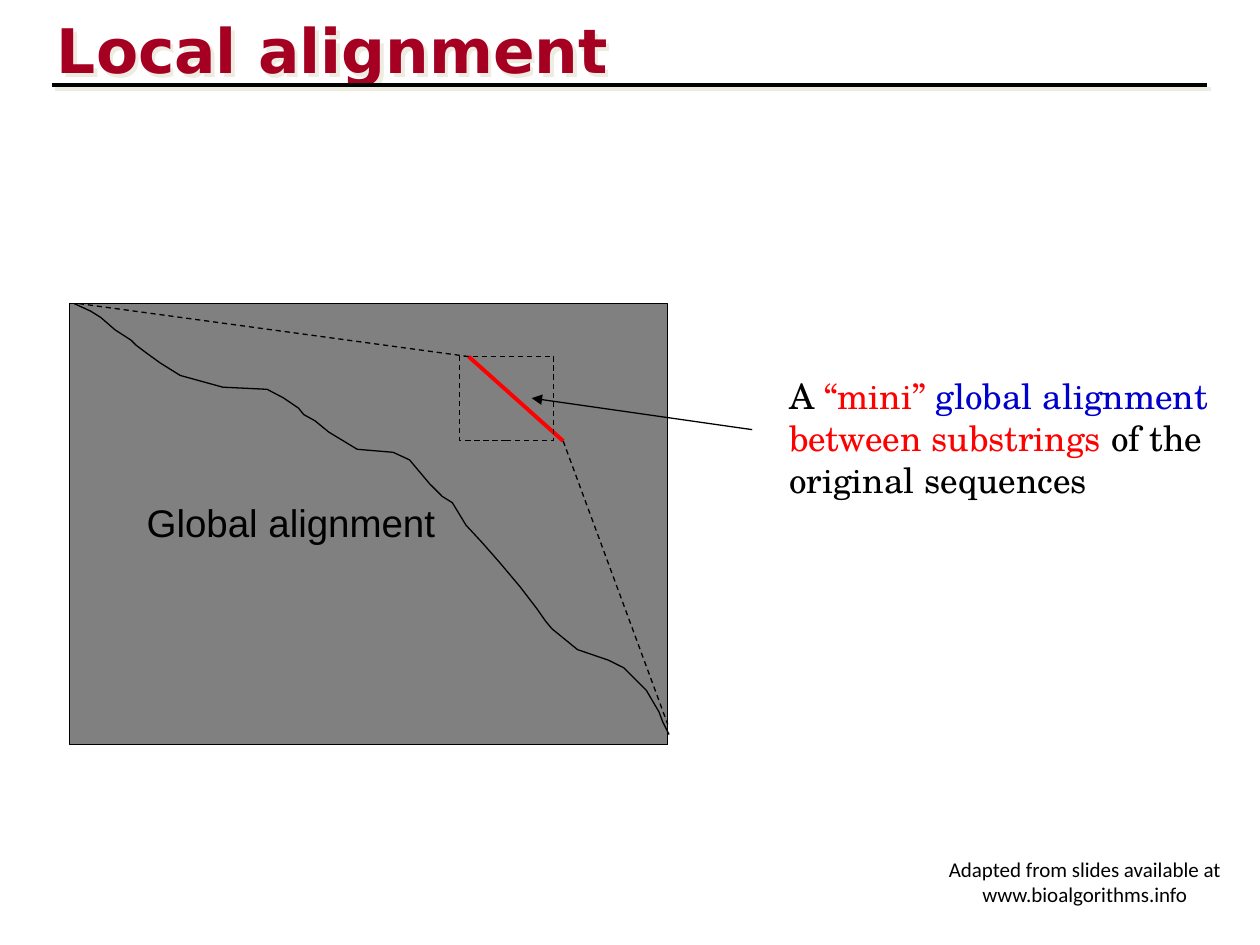
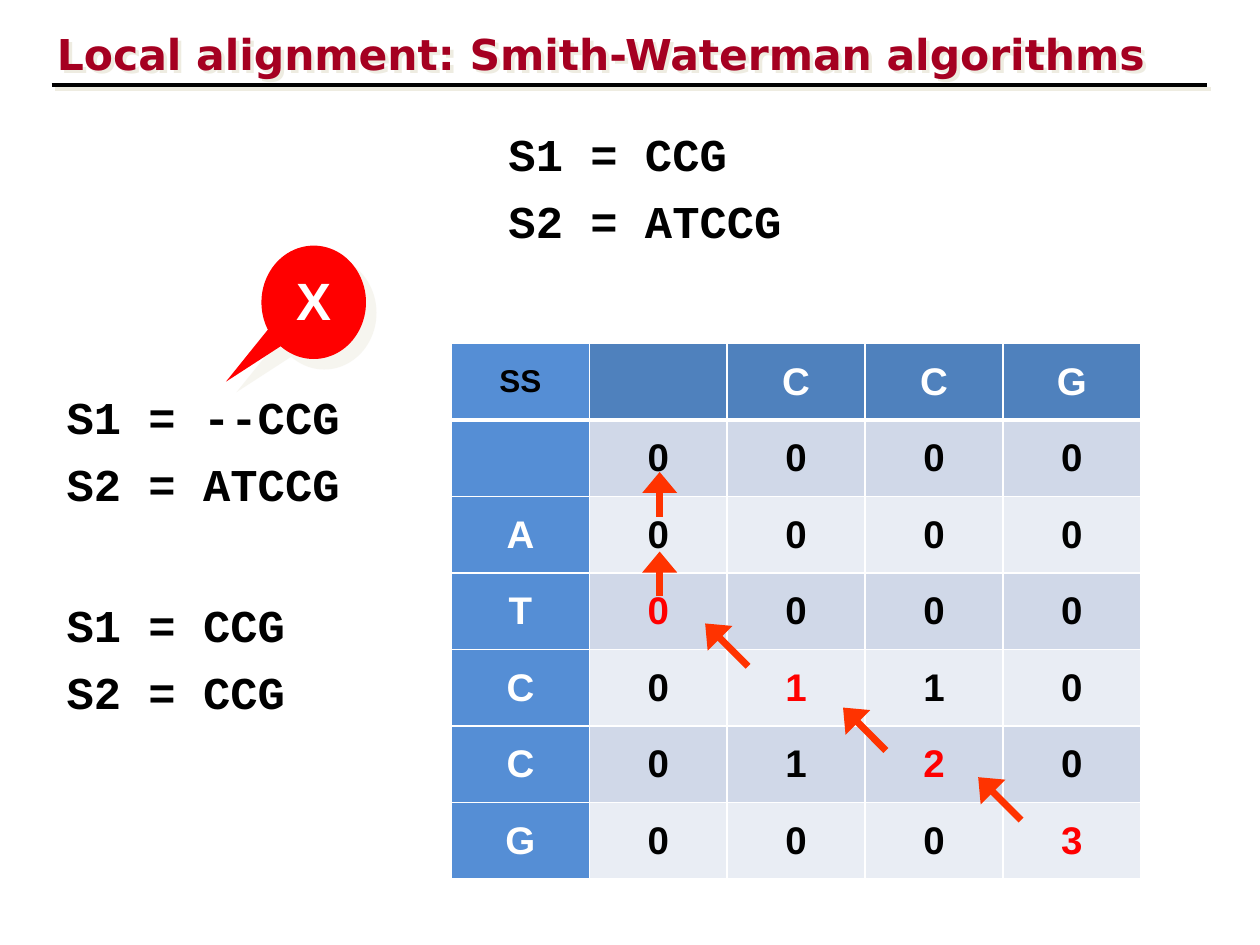
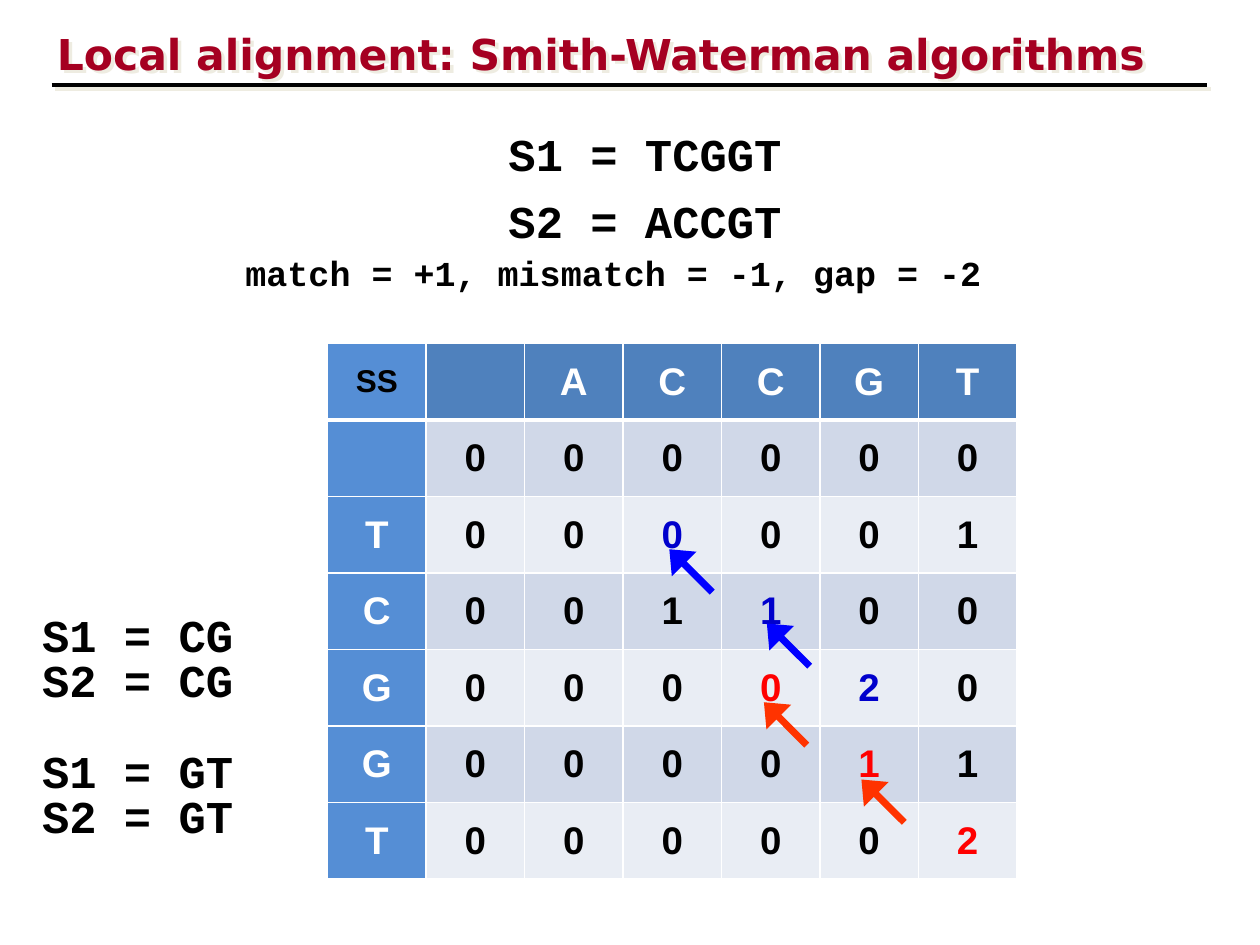
import pptx
import pptx.dml.color
import pptx.enum.dml
import pptx.enum.shapes
import pptx.enum.text
import pptx.oxml
import pptx.oxml.ns
import pptx.util

RGBColor = pptx.dml.color.RGBColor
BLACK = RGBColor(0x00, 0x00, 0x00)
WHITE = RGBColor(0xFF, 0xFF, 0xFF)
GREY = RGBColor(0x80, 0x80, 0x80)
RED = RGBColor(0xFF, 0x00, 0x00)
ORANGE = RGBColor(0xFF, 0x33, 0x00)
BLUE = RGBColor(0x00, 0x00, 0xFF)
NAVY = RGBColor(0x00, 0x00, 0xCC)
CRIMSON = RGBColor(0xA5, 0x00, 0x21)
SHADOW = RGBColor(0xEE, 0xEC, 0xE1)
HEADER_FILL = RGBColor(0x4F, 0x81, 0xBD)
LETTER_FILL = RGBColor(0x55, 0x8E, 0xD5)
BAND_FILLS = (RGBColor(0xE9, 0xED, 0xF4), RGBColor(0xD0, 0xD8, 0xE8))

TITLE_FONT, BODY_FONT, CODE_FONT = "DejaVu Sans", "Arial", "Courier New"
CENTER = pptx.enum.text.PP_ALIGN.CENTER
SHAPES = pptx.enum.shapes.MSO_SHAPE

# The slide is a grid of 100 columns by 75 rows of square cells.
GRID_COLUMNS, GRID_ROWS = 100, 75
CELL = pptx.util.Inches(0.1)

TABLE_TOP, TABLE_WIDTH, TABLE_HEIGHT = 27.26, 54.72, 42.5
ARROW_LENGTH = 3.4
DIAGONAL, UPWARD = (1, 1), (0, 1.04)

GLOBAL_PATH = [
    (5.9, 24.1), (7.2, 24.7), (8, 25.2), (9.13, 26.18), (10.4, 27), (10.8, 27.4),
    (11.6, 28), (12.7, 28.8), (14.3, 29.8), (17.68, 30.73), (21.2, 30.9),
    (22.49, 31.58), (23.7, 32.4), (24.1, 32.9), (25, 33.4), (26.1, 34.3),
    (28.35, 35.66), (31.2, 35.9), (32.5, 36.5), (34.1, 38.4), (34.7, 39),
    (35.1, 39.4), (35.9, 39.9), (36.99, 41.69), (38.3, 43.1), (39.7, 44.7),
    (41.3, 46.6), (42.6, 48.3), (43.3, 49.3), (43.8, 49.9), (45.83, 51.56),
    (48.3, 52.4), (49.5, 53), (51.3, 54.8), (52.3, 56.5), (52.6, 57.3), (53.1, 58.3),
]


def grid(*cells):
    return [pptx.util.Emu(round(count * CELL)) for count in cells]


def add_xml(parent, tag, content="", attributes=""):
    namespace = pptx.oxml.ns.nsdecls("a")
    parent.append(pptx.oxml.parse_xml(
        f"<a:{tag} {namespace} {attributes}>{content}</a:{tag}>"))


def set_effects(shape, distance=0, opacity=100):
    """Give the shape a beige shadow, or none when the distance is zero."""
    shadow = ""
    if distance:
        shadow = (
            f'<a:outerShdw dist="{pptx.util.Pt(distance)}" dir="2700000" algn="ctr">'
            f'<a:srgbClr val="{SHADOW}"><a:alpha val="{opacity * 1000}"/></a:srgbClr>'
            "</a:outerShdw>")
    add_xml(shape.element.spPr, "effectLst", shadow)


def style_line(line, color, width, dashed=False):
    line.color.rgb = color
    line.width = pptx.util.Pt(width)
    if dashed:
        line.dash_style = pptx.enum.dml.MSO_LINE.DASH


def add_line(page, start, end, color=BLACK, width=0.75, dashed=False,
             head_width=None, shadow=0):
    """Draw a line; a head width ("med" or "lg") puts an arrowhead at its end."""
    connector = page.shapes.add_connector(
        pptx.enum.shapes.MSO_CONNECTOR.STRAIGHT, *grid(*start, *end))
    style_line(connector.line, color, width, dashed)
    if head_width:
        add_xml(connector.line._get_or_add_ln(), "tailEnd",
                attributes=f'type="triangle" w="{head_width}" len="med"')
    set_effects(connector, shadow)


def set_font(font, name, size, color, bold=False):
    font.name, font.size, font.bold = name, pptx.util.Pt(size), bold
    font.color.rgb = color


def add_text(page, place, lines, font, size, color=BLACK, bold=False,
             align=None, wrap=True):
    """Write one paragraph per line; a line is a string or (text, colour) spans."""
    box = page.shapes.add_textbox(*grid(*place))
    frame = box.text_frame
    frame.word_wrap = wrap
    for index, line in enumerate(lines):
        para = frame.paragraphs[0] if index == 0 else frame.add_paragraph()
        para.alignment = align
        set_font(para.font, font, size, color, bold)
        for text, span_color in [(line, color)] if isinstance(line, str) else line:
            span = para.add_run()
            span.text = text
            span.font.color.rgb = span_color
    return box


def add_code(page, left, top, text, width=25.2, height=5.4, size=26):
    add_text(page, (left, top, width, height), [text], CODE_FONT, size, bold=True)


def add_sequences(page, left, top, first, second, pitch=5.3, width=25.2):
    add_code(page, left, top, f"S1 = {first}", width)
    add_code(page, left, top + pitch, f"S2 = {second}", width)


def add_page(deck, title, size, title_top):
    page = deck.slides.add_slide(deck.slide_layouts[6])
    box = add_text(page, (3.54, title_top, 97.2, 6.7), [title], TITLE_FONT, size,
                   CRIMSON, bold=True)
    set_effects(box, 2.8)
    add_line(page, (4.1, 6.77), (95.8, 6.77), width=2.25, shadow=2.8)
    return page


def add_algorithm_page(deck):
    return add_page(deck, "Local alignment: Smith-Waterman algorithms", 24.3, 1.7)


def add_rectangle(page, place, fill=None, dashed=False):
    shape = page.shapes.add_shape(SHAPES.RECTANGLE, *grid(*place))
    if fill is None:
        shape.fill.background()
    else:
        shape.fill.solid()
        shape.fill.fore_color.rgb = fill
    style_line(shape.line, BLACK, 0.75, dashed)
    shape.shadow.inherit = False


def add_global_path(page):
    start, *points = [grid(*point) for point in GLOBAL_PATH]
    builder = page.shapes.build_freeform(*start)
    builder.add_line_segments(points, close=False)
    path = builder.convert_to_shape()
    path.fill.background()
    style_line(path.line, BLACK, 0.75)
    path.shadow.inherit = False


def set_borders(cell, bottom):
    for side, width in (("L", 1), ("R", 1), ("T", 1), ("B", bottom)):
        add_xml(cell._tc.get_or_add_tcPr(), f"ln{side}",
                f'<a:solidFill><a:srgbClr val="{WHITE}"/></a:solidFill>',
                f'w="{pptx.util.Pt(width)}"')


def fill_cell(cell, text, fill, color, size):
    cell.fill.solid()
    cell.fill.fore_color.rgb = fill
    cell.vertical_anchor = pptx.enum.text.MSO_ANCHOR.MIDDLE
    para = cell.text_frame.paragraphs[0]
    para.text = text
    para.alignment = CENTER
    set_font(para.font, BODY_FONT, size, color, bold=True)


def add_score_table(page, left, across, down, scores, marks):
    """Draw the score matrix and return a function that adds arrows to it.

    marks maps (row, column) to a text colour.
    """
    rows = [["SS", "", *across]]
    rows += [[letter, *line] for letter, line in zip(["", *down], scores)]
    count = len(rows[0])
    table = page.shapes.add_table(
        len(rows), count, *grid(left, TABLE_TOP, TABLE_WIDTH, TABLE_HEIGHT)).table
    for column in table.columns:
        column.width = grid(TABLE_WIDTH / count)[0]
    for row_index, row in enumerate(rows):
        for column_index, text in enumerate(row):
            cell = table.cell(row_index, column_index)
            set_borders(cell, 3 if row_index == 0 else 1)
            color, size = WHITE, 22
            if column_index == 0:
                fill = LETTER_FILL
                if row_index == 0:
                    color, size = BLACK, 18
            elif row_index == 0:
                fill = HEADER_FILL
            else:
                fill = BAND_FILLS[row_index % 2]
                color = marks.get((row_index, column_index), BLACK)
            fill_cell(cell, text, fill, color, size)

    def add_trace(column, row, direction, color):
        """Draw an arrow whose tip is given in table columns and rows."""
        x = left + column * TABLE_WIDTH / count
        y = TABLE_TOP + row * TABLE_HEIGHT / len(rows)
        tail = (x + ARROW_LENGTH * direction[0], y + ARROW_LENGTH * direction[1])
        add_line(page, tail, (x, y), color, 4, head_width="lg")

    return add_trace


def add_rejection_callout(page):
    callout = page.shapes.add_shape(SHAPES.OVAL_CALLOUT, *grid(20.75, 19.5, 8.3, 9))
    callout.adjustments[0], callout.adjustments[1] = -0.84, 0.7
    callout.fill.solid()
    callout.fill.fore_color.rgb = RED
    callout.line.fill.background()
    set_effects(callout, 8.5, 50)
    label = add_text(page, (21.1, 20.8, 7.6, 6), ["X"], BODY_FONT, 30, WHITE,
                     bold=True, align=CENTER)
    page.shapes.add_group_shape([callout, label])


def build_overview(deck):
    page = add_page(deck, "Local alignment", 35.1, 0.5)
    add_text(page, (61.64, 29.2, 37.4, 11.1), [
        [("A", BLACK), (" “mini” ", RED), ("global alignment", NAVY)],
        [("between substrings ", RED), ("of the", BLACK)],
        "original sequences",
    ], "TeX Gyre Schola", 20)
    add_rectangle(page, (5.5, 24.12, 47.5, 35), GREY)
    add_text(page, (10.66, 39.1, 29, 4.7), ["Global alignment"], BODY_FONT, 22)
    local_start, local_end = (37.2, 28.3), (44.7, 35)
    add_line(page, local_start, local_end, RED, 2.25)
    add_line(page, local_start, (6.3, 24.1), dashed=True)
    add_line(page, local_end, (53, 57.5), dashed=True)
    add_global_path(page)
    add_rectangle(page, (36.46, 28.28, 7.5, 6.66), dashed=True)
    add_line(page, (59.7, 34.1), (42.2, 31.6), head_width="med")
    add_text(page, (74.2, 67.5, 23.8, 5),
             ["Adapted from slides available at", "www.bioalgorithms.info"],
             "Calibri", 12, align=CENTER, wrap=False)


def build_single_path(deck):
    page = add_algorithm_page(deck)
    add_trace = add_score_table(
        page, 35.83, "CCG", "ATCCG",
        ["0000", "0000", "0000", "0110", "0120", "0003"],
        {(3, 1): RED, (4, 2): RED, (5, 3): RED, (6, 4): RED})
    add_sequences(page, 39.37, 9.5, "CCG", "ATCCG")
    for column, row in ((3.82, 5.67), (2.84, 4.76), (1.84, 3.66)):
        add_trace(column, row, DIAGONAL, ORANGE)
    add_sequences(page, 4.3, 30.4, "--CCG", "ATCCG")
    add_sequences(page, 4.3, 46.9, "CCG", "CCG")
    add_rejection_callout(page)
    for row in (2.72, 1.68):
        add_trace(1.51, row, UPWARD, ORANGE)


def build_two_paths(deck):
    page = add_algorithm_page(deck)
    add_trace = add_score_table(
        page, 26, "ACCGT", "TCGGT",
        ["000000", "000001", "001100", "000020", "000011", "000002"],
        {(2, 3): NAVY, (3, 4): NAVY, (4, 5): NAVY,
         (4, 4): RED, (5, 5): RED, (6, 6): RED})
    add_sequences(page, 39.37, 9.5, "TCGGT", "ACCGT")
    add_code(page, 18.5, 19.5, "match = +1, mismatch = -1, gap = -2", 67.3, 4.4, 20)
    for column, row, color in ((5.42, 5.7, ORANGE), (4.43, 4.69, ORANGE),
                               (4.46, 3.66, BLUE), (3.47, 2.69, BLUE)):
        add_trace(column, row, DIAGONAL, color)
    add_sequences(page, 2.36, 58.5, "GT", "GT", 3.55, 22.4)
    add_sequences(page, 2.36, 47.7, "CG", "CG", 3.55, 22.4)


def main():
    deck = pptx.Presentation()
    deck.slide_width, deck.slide_height = grid(GRID_COLUMNS, GRID_ROWS)
    build_overview(deck)
    build_single_path(deck)
    build_two_paths(deck)
    deck.save("out.pptx")


if __name__ == "__main__":
    main()
